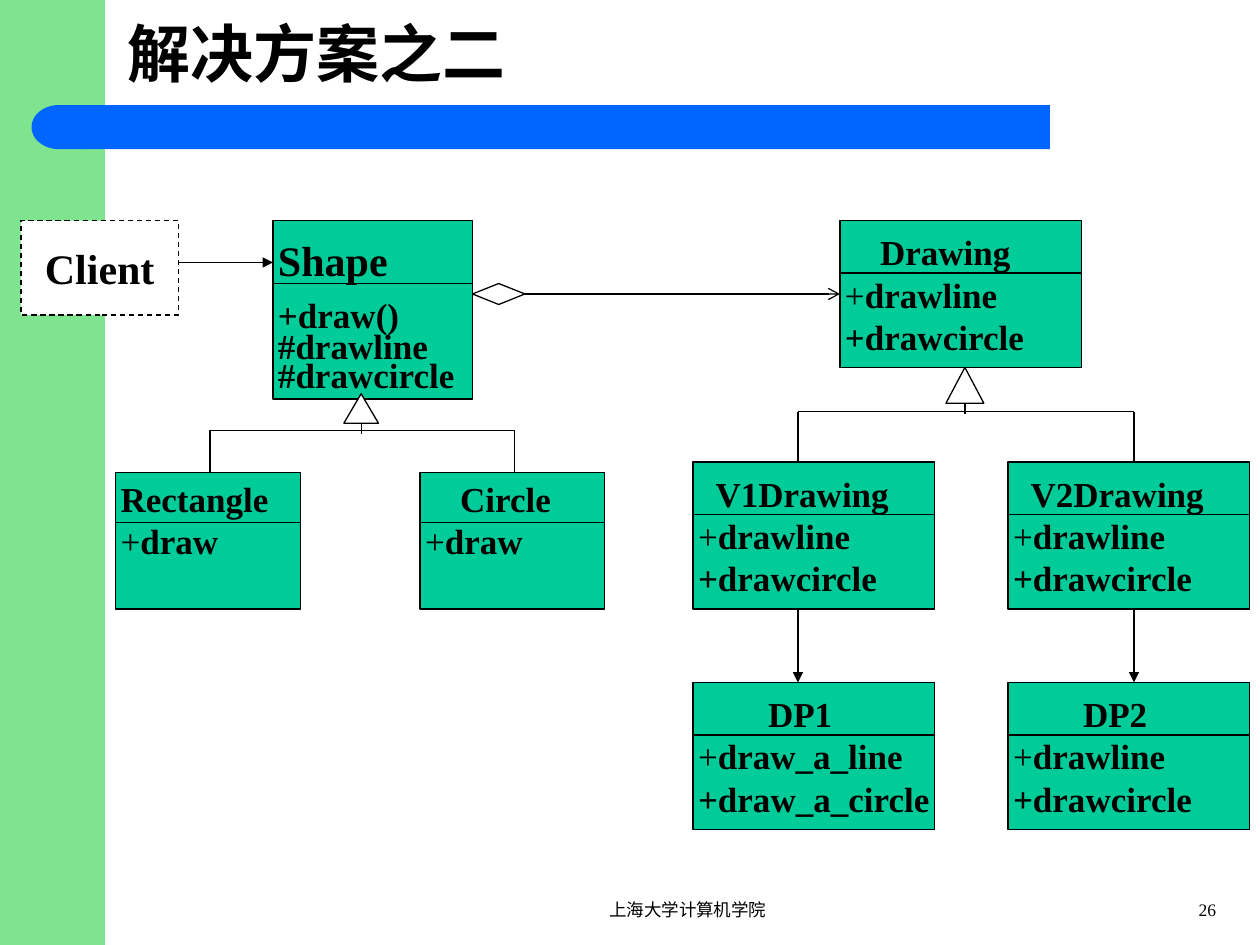
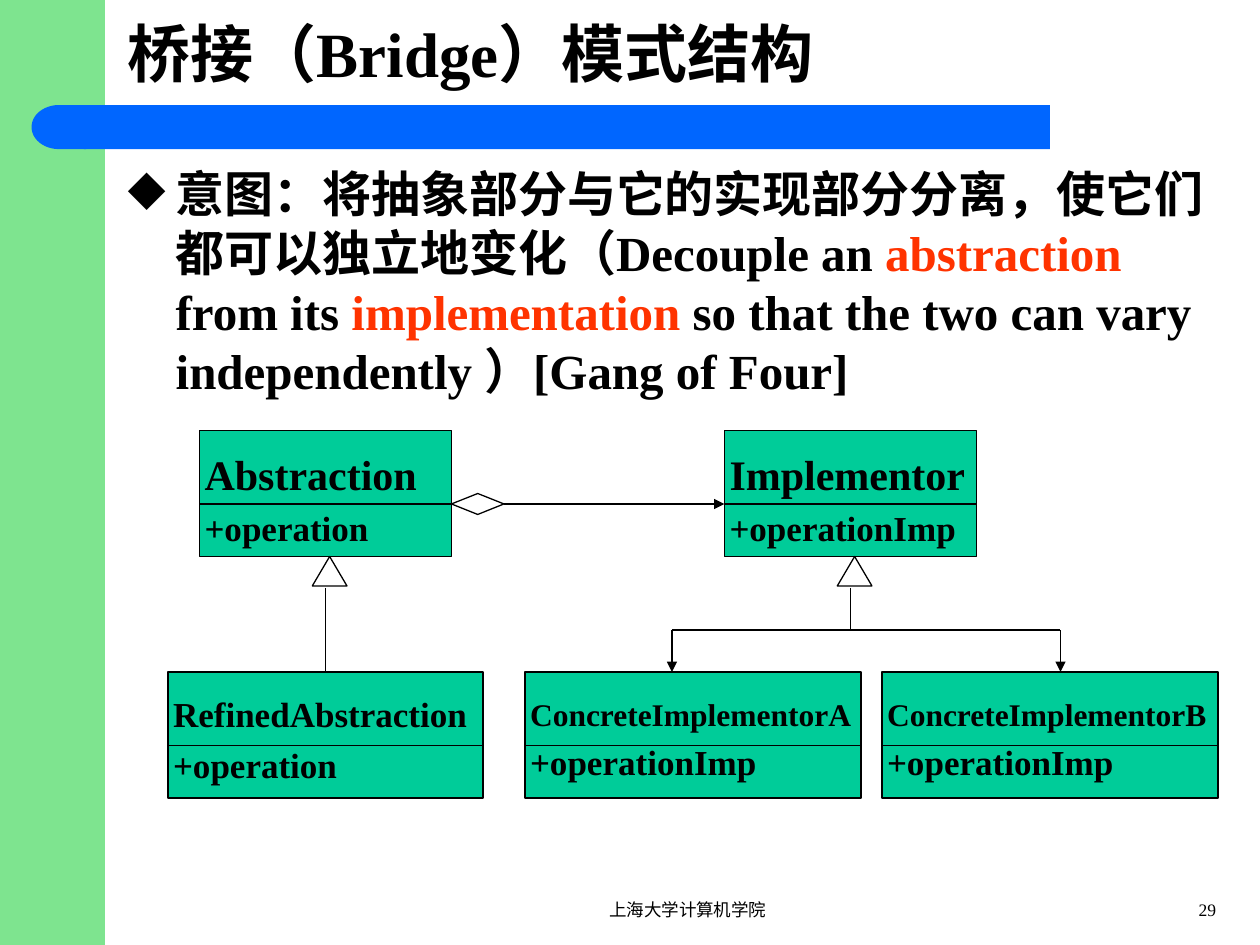
"""Build two slides of class diagrams on the Bridge pattern."""
import pptx
import pptx.util
import pptx.dml.color
import pptx.enum.dml
import pptx.enum.shapes
import pptx.enum.text
import pptx.oxml.ns
from lxml import etree

COLORS = {"side": "7EE48F", "bar": "0066FF", "class": "00CC99",
          "ink": "000000", "paper": "FFFFFF", "accent": "FF3300"}
LATIN, CJK = "Times New Roman", "Noto Sans CJK SC"
COLUMNS, ROWS, CELLS_PER_INCH = 120, 90, 12
SCHOOL = "上海大学计算机学院"
SHAPES = pptx.enum.shapes.MSO_SHAPE
ALIGN = pptx.enum.text.PP_ALIGN
ANCHOR = pptx.enum.text.MSO_ANCHOR
qn = pptx.oxml.ns.qn


def cells(*counts):
    """Turn grid cells into lengths."""
    return [pptx.util.Inches(count / CELLS_PER_INCH) for count in counts]


def rgb(name):
    """Look up a named colour."""
    return pptx.dml.color.RGBColor.from_string(COLORS[name])


def add_run(paragraph, text, size, bold=True, color="ink", font=LATIN):
    """Add one styled run."""
    run = paragraph.add_run()
    run.text = text
    run.font.size = pptx.util.Pt(size)
    run.font.bold = bold
    run.font.name = font
    run.font.color.rgb = rgb(color)


def set_frame(frame, insets, wrap, anchor=ANCHOR.MIDDLE):
    """Set insets in inches, wrapping and anchor of a text frame."""
    frame.word_wrap = wrap
    frame.vertical_anchor = anchor
    side, edge = (pptx.util.Inches(inset) for inset in insets)
    frame.margin_left = frame.margin_right = side
    frame.margin_top = frame.margin_bottom = edge


def add_label(slide, box, text, size, bold=False, align=ALIGN.LEFT, anchor=ANCHOR.TOP):
    """Add a one-line text box."""
    frame = slide.shapes.add_textbox(*cells(*box)).text_frame
    set_frame(frame, (0.1, 0.05), True, anchor)
    paragraph = frame.paragraphs[0]
    paragraph.alignment = align
    add_run(paragraph, text, size, bold)


def add_figure(slide, kind, box, fill, outlined=True):
    """Add a filled preset shape."""
    figure = slide.shapes.add_shape(kind, *cells(*box))
    figure.shadow.inherit = False
    figure.fill.solid()
    figure.fill.fore_color.rgb = rgb(fill)
    if outlined:
        figure.line.color.rgb = rgb("ink")
        figure.line.width = pptx.util.Pt(0.75)
    else:
        figure.line.fill.background()
    return figure


def add_link(slide, x1, y1, x2, y2, head=None):
    """Add a thin straight line, with an arrowhead if named."""
    link = slide.shapes.add_connector(
        pptx.enum.shapes.MSO_CONNECTOR.STRAIGHT, *cells(x1, y1, x2, y2))
    link.line.color.rgb = rgb("ink")
    link.line.width = pptx.util.Pt(0.75)
    if head:
        etree.SubElement(link.line._get_or_add_ln(), qn("a:tailEnd"), type=head)
    etree.SubElement(link._element.spPr, qn("a:effectLst"))


def add_class(slide, box, divider, name, members, name_size=20, indent=0,
              spacings=(), light_plus=False, spare=0):
    """Add a class box: name, dividing line and members."""
    left, top, width, _ = box
    frame = add_figure(slide, SHAPES.RECTANGLE, box, "class").text_frame
    set_frame(frame, (0.04, 0.02), False)
    frame.margin_bottom += pptx.util.Pt(spare)
    for index, text in enumerate([name, *members]):
        paragraph = frame.paragraphs[0] if index == 0 else frame.add_paragraph()
        paragraph.alignment = ALIGN.LEFT
        if spacings:
            paragraph.line_spacing = spacings[index]
        if index == 0:
            paragraph._p.get_or_add_pPr().set("marL", str(pptx.util.Pt(indent)))
            add_run(paragraph, text, name_size)
        elif index == 1 and light_plus:
            add_run(paragraph, text[0], 20, bold=False)
            add_run(paragraph, text[1:], 20)
        else:
            add_run(paragraph, text, 20)
    add_link(slide, left, top + divider, left + width, top + divider)


def add_inheritance(slide, tip, size, stem, children, bus, end, head=None):
    """Add the triangle, stem and branches from a parent to its children."""
    (x, y), (width, height) = tip, size
    add_figure(slide, SHAPES.ISOSCELES_TRIANGLE, (x - width / 2, y, width, height), "paper")
    add_link(slide, *stem)
    if children:
        add_link(slide, children[0], bus, children[-1], bus)
    for child in children:
        add_link(slide, child, bus, child, end, head)


def add_aggregation(slide, left, middle, end, head):
    """Add a diamond and the arrow that leaves it."""
    add_figure(slide, SHAPES.DIAMOND, (left, middle - 1, 5, 2), "paper")
    add_link(slide, left + 5, middle, end, middle, head)


def start_slide(deck, title, number):
    """Add a slide with side band, bar, title and footer."""
    slide = deck.slides.add_slide(deck.slide_layouts[6])
    add_figure(slide, SHAPES.RECTANGLE, (0, 0, 10, ROWS), "side", outlined=False)
    add_figure(slide, SHAPES.RECTANGLE, (8, 10, 92, 4.2), "bar", outlined=False)
    cap = add_figure(slide, SHAPES.FLOWCHART_DELAY, (3, 10, 5.2, 4.2), "bar", outlined=False)
    cap.rotation = 180
    add_label(slide, (11, 0, 104, 10), title, 36, bold=True, anchor=ANCHOR.MIDDLE)
    add_label(slide, (45, 85, 41, 3), SCHOOL, 10, align=ALIGN.CENTER)
    add_label(slide, (108, 85, 9, 3), str(number), 10, align=ALIGN.RIGHT)
    return slide


def add_intent(slide):
    """Add the bulleted statement of the pattern's intent."""
    frame = slide.shapes.add_textbox(*cells(11, 15, 107, 24)).text_frame
    set_frame(frame, (0.1, 0.05), True, ANCHOR.TOP)
    paragraph = frame.paragraphs[0]
    paragraph.line_spacing = pptx.util.Pt(33.7)
    properties = paragraph._p.get_or_add_pPr()
    hang = pptx.util.Inches(0.38)
    properties.set("marL", str(hang))
    properties.set("indent", str(-hang))
    bullet_color = etree.SubElement(properties, qn("a:buClr"))
    etree.SubElement(bullet_color, qn("a:srgbClr"), val=COLORS["ink"])
    etree.SubElement(properties, qn("a:buChar"), char="◆")
    add_run(paragraph, "意图：将抽象部分与它的实现部分分离，使它们都可以独立地变化（", 28, font=CJK)
    for text, color in [("Decouple an ", "ink"), ("abstraction", "accent"),
                        (" from its ", "ink"), ("implementation ", "accent"),
                        ("so that the two can vary independently ）[Gang of Four]", "ink")]:
        add_run(paragraph, text, 28, color=color)


def build_solution(deck):
    """Build the slide on the second solution."""
    slide = start_slide(deck, "解决方案之二", 26)
    add_class(slide, (26, 21, 19, 17), 6, "Shape", ["+draw()", "#drawline", "#drawcircle"],
              name_size=24, spacings=(1.2, 1.2, 0.7, 0.7))
    for left, name, indent in [(11, "Rectangle", 0), (40, "Circle", 20)]:
        add_class(slide, (left, 45, 17.6, 13), 4.8, name, ["+draw"],
                  indent=indent, light_plus=True, spare=24)
    drawing = ["+drawline", "+drawcircle"]
    for left, top, name, members, indent in [
            (80, 21, "Drawing", drawing, 20),
            (66, 44, "V1Drawing", drawing, 10),
            (96, 44, "V2Drawing", drawing, 10),
            (66, 65, "DP1", ["+draw_a_line", "+draw_a_circle"], 40),
            (96, 65, "DP2", drawing, 40)]:
        add_class(slide, (left, top, 23, 14), 5, name, members, indent=indent, light_plus=True)
    add_inheritance(slide, (34.4, 37.5), (3.3, 2.8), (34.4, 40.3, 34.4, 41.3), (20, 49), 41, 45)
    versions = (76, 108)
    add_inheritance(slide, (91.9, 35), (3.6, 3.4), (91.9, 38.4, 91.9, 39.4), versions, 39.2, 44)
    for version in versions:
        add_link(slide, version, 58, version, 65, "triangle")
    add_aggregation(slide, 45, 28, 80, "arrow")
    client = add_figure(slide, SHAPES.RECTANGLE, (2, 21, 15, 9), "paper")
    client.line.dash_style = pptx.enum.dml.MSO_LINE.DASH
    set_frame(client.text_frame, (0.1, 0.05), False)
    client_name = client.text_frame.paragraphs[0]
    client_name.alignment = ALIGN.CENTER
    add_run(client_name, "Client", 24)
    add_link(slide, 17, 25, 26, 25, "triangle")


def build_structure(deck):
    """Build the slide on the structure of the pattern."""
    slide = start_slide(deck, "桥接（Bridge）模式结构", 29)
    add_intent(slide)
    for left, top, width, name, member, size in [
            (19, 41, 24, "Abstraction", "+operation", 24),
            (69, 41, 24, "Implementor", "+operationImp", 24),
            (16, 64, 30, "RefinedAbstraction", "+operation", 20),
            (50, 64, 32, "ConcreteImplementorA", "+operationImp", 18),
            (84, 64, 32, "ConcreteImplementorB", "+operationImp", 18)]:
        add_class(slide, (left, top, width, 12), 7, name, [member],
                  name_size=size, spacings=(1.2, 1.2))
    add_aggregation(slide, 43, 48, 69, "triangle")
    add_inheritance(slide, (31.4, 53), (3.3, 2.8), (31, 56, 31, 64), (), 60, 64)
    add_inheritance(slide, (81.4, 53), (3.3, 2.8), (81, 56, 81, 60), (64, 101), 60, 64, "triangle")


def main():
    """Build and save the deck."""
    deck = pptx.Presentation()
    deck.slide_width, deck.slide_height = cells(COLUMNS, ROWS)
    build_solution(deck)
    build_structure(deck)
    deck.save("out.pptx")


if __name__ == "__main__":
    main()
